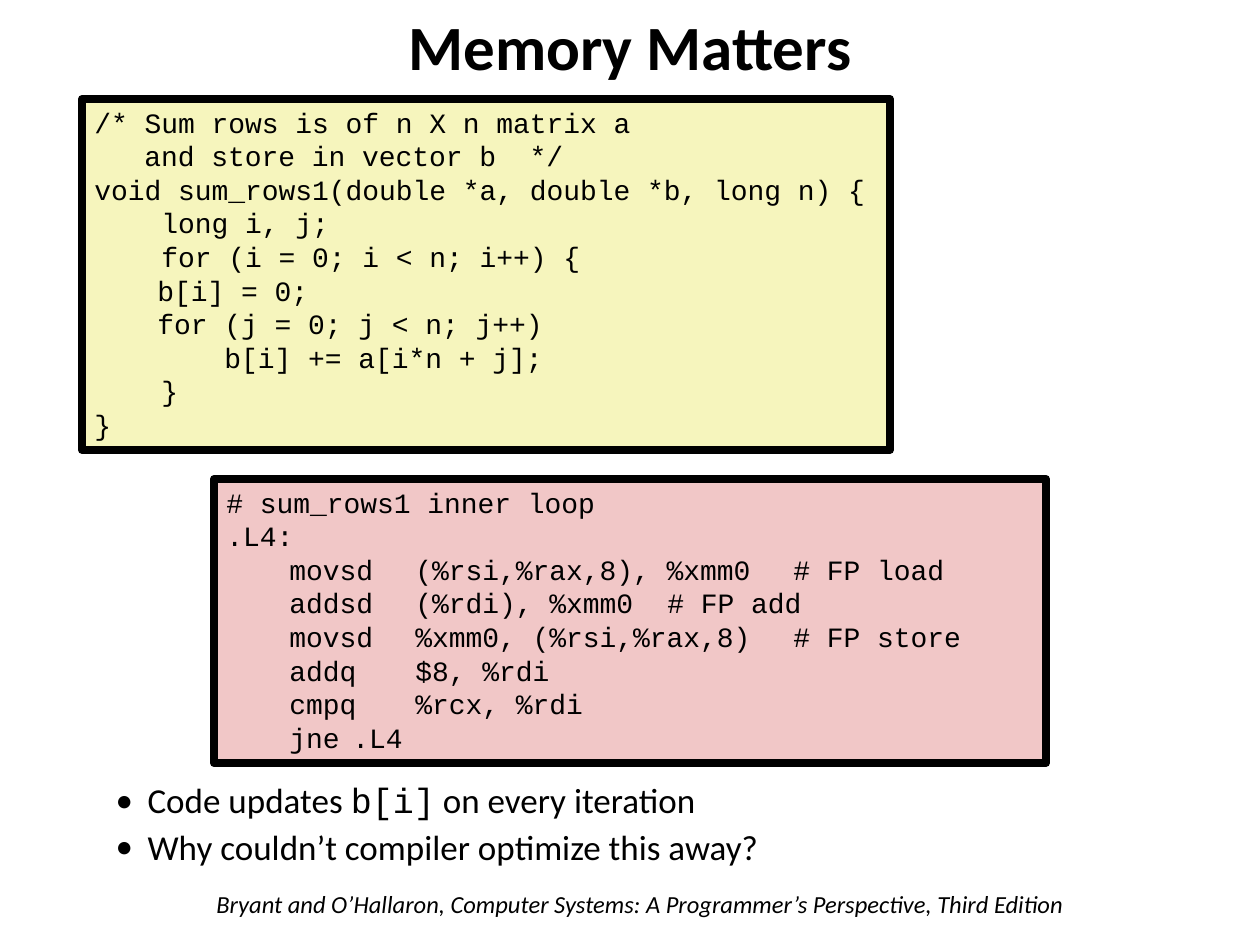
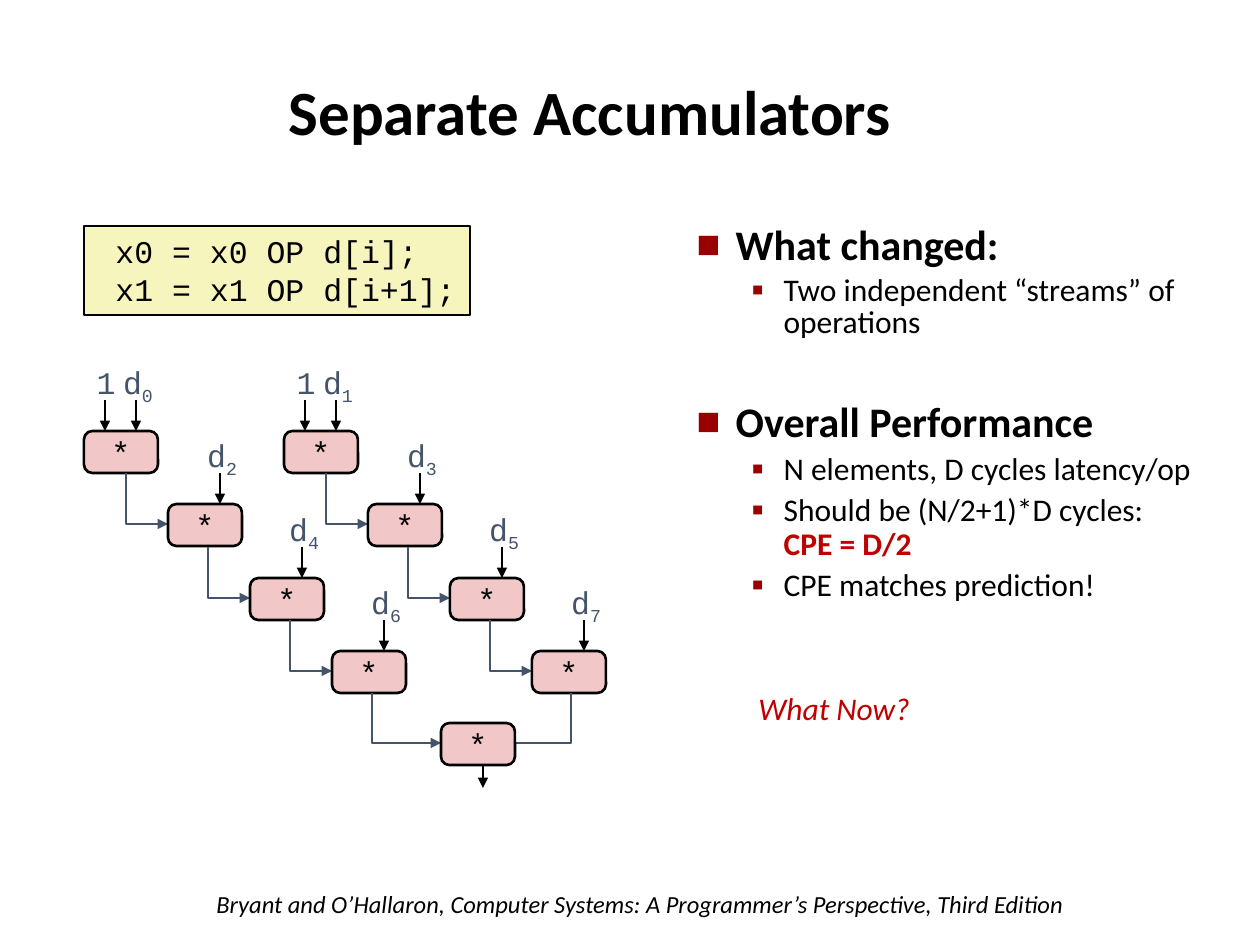
from lxml import etree
from pptx import Presentation
from pptx.dml.color import RGBColor
from pptx.enum.shapes import MSO_CONNECTOR, MSO_SHAPE
from pptx.enum.text import MSO_ANCHOR, MSO_AUTO_SIZE, PP_ALIGN
from pptx.oxml.ns import qn
from pptx.util import Emu, Pt

RECT, ROUND = MSO_SHAPE.RECTANGLE, MSO_SHAPE.ROUNDED_RECTANGLE
STRAIGHT = MSO_CONNECTOR.STRAIGHT
LEFT, CENTER = PP_ALIGN.LEFT, PP_ALIGN.CENTER
TOP, MIDDLE = MSO_ANCHOR.TOP, MSO_ANCHOR.MIDDLE
FIXED = MSO_AUTO_SIZE.NONE

BLACK = RGBColor(0x00, 0x00, 0x00)
YELLOW = RGBColor(0xF6, 0xF5, 0xBD)
PINK = RGBColor(0xF1, 0xC7, 0xC7)
SLATE = RGBColor(0x44, 0x54, 0x6A)
RED = RGBColor(0xC0, 0x00, 0x00)
SANS, MONO = "Calibri", "Courier New"

# Shared content
FOOTER = "Bryant and O’Hallaron, Computer Systems: A Programmer’s Perspective, Third Edition"

# Memory Matters: C lines as (indent, text), assembly lines as text
SUM_CODE = [
    (0, "/* Sum rows is of n X n matrix a"),
    (50, "and store in vector b  */"),
    (0, "void sum_rows1(double *a, double *b, long n) {"),
    (67, "long i, j;"),
    (67, "for (i = 0; i < n; i++) {"),
    (63, "b[i] = 0;"),
    (63, "for (j = 0; j < n; j++)"),
    (130, "b[i] += a[i*n + j];"),
    (67, "}"),
    (0, "}"),
]
LOOP_CODE = [
    "# sum_rows1 inner loop",
    ".L4:",
    "\tmovsd\t(%rsi,%rax,8), %xmm0\t# FP load",
    "\taddsd\t(%rdi), %xmm0\t# FP add",
    "\tmovsd\t%xmm0, (%rsi,%rax,8)\t# FP store",
    "\taddq\t$8, %rdi",
    "\tcmpq\t%rcx, %rdi",
    "\tjne\t.L4",
]
LOOP_TABS = [134, 268, 630]
NOTES = [
    [("Code updates ", SANS), ("b[i]", MONO), (" on every iteration", SANS)],
    [("Why couldn’t compiler optimize this away?", SANS)],
]

# Separate Accumulators: points as (level, line spacing, space before, runs)
PAIR_CODE = ["x0 = x0 OP d[i];", "x1 = x1 OP d[i+1];"]
POINTS = [
    (0, 0.85, 5, ["What changed:"]),
    (1, 0.85, 4, ["Two independent “streams” of operations"]),
    (0, 0.85, 36, ["Overall Performance"]),
    (1, 0.9, 4, ["N elements, D cycles latency/op"]),
    (1, 0.9, 4, ["Should be (N/2+1)*D cycles:", "CPE = D/2"]),
    (1, 0.9, 4, ["CPE matches prediction!"]),
]
# Level: left edge, hanging indent, bullet, bullet size in %, text size
LEVELS = [(39, 39, "■", 60, 24), (87, 32, "▪", 110, 18)]
STEPS = [(84, 431), (168, 504), (250, 578), (332, 651)]
LANE = 200
NODE_W, NODE_H = 74, 42
LAST = (441, 723)


def px(n):
    return Emu(round(n * 914400 / 126))


def add_run(para, text, size, font=SANS, color=BLACK, bold=False, slant=False):
    run = para.add_run()
    run.text = text
    face = run.font
    face.name, face.size, face.bold, face.italic = font, Pt(size), bold, slant
    face.color.rgb = color
    return run


def next_para(frame, first):
    return frame.paragraphs[0] if first else frame.add_paragraph()


def indent(para, left, hang=0):
    props = para._p.get_or_add_pPr()
    props.set("marL", str(px(left)))
    props.set("indent", str(-px(hang)))
    return props


def bullet(para, left, hang, char, size=100, color=None):
    props = indent(para, left, hang)
    if color:
        tint = etree.SubElement(props, qn("a:buClr"))
        etree.SubElement(tint, qn("a:srgbClr"), val=color)
    etree.SubElement(props, qn("a:buSzPct"), val=str(size * 1000))
    etree.SubElement(props, qn("a:buFont"), typeface=SANS)
    etree.SubElement(props, qn("a:buChar"), char=char)


def set_tabs(para, stops):
    tabs = etree.SubElement(para._p.get_or_add_pPr(), qn("a:tabLst"))
    for stop in stops:
        etree.SubElement(tabs, qn("a:tab"), pos=str(px(stop)), algn="l")


def place(shape, x, y, w, h):
    shape.left, shape.top, shape.width, shape.height = map(px, (x, y, w, h))


def add_text(slide, box, text, size, **style):
    shape = slide.shapes.add_textbox(*map(px, box))
    shape.text_frame.word_wrap = False
    add_run(shape.text_frame.paragraphs[0], text, size, **style)
    return shape


def add_box(slide, kind, box, fill, width):
    shape = slide.shapes.add_shape(kind, *map(px, box))
    shape.shadow.inherit = False
    shape.fill.solid()
    shape.fill.fore_color.rgb = fill
    shape.line.color.rgb = BLACK
    shape.line.width = Pt(width)
    return shape


def add_code(slide, box, fill, width, size, lines, stops=()):
    frame = add_box(slide, RECT, box, fill, width).text_frame
    frame.word_wrap, frame.vertical_anchor = True, TOP
    frame.margin_right = 0
    for i, (left, text) in enumerate(lines):
        para = next_para(frame, i == 0)
        para.alignment = LEFT
        indent(para, left)
        if stops:
            set_tabs(para, stops)
        add_run(para, text, size, MONO)


def arrow_tip(shape):
    etree.SubElement(shape.line._get_or_add_ln(), qn("a:tailEnd"), type="triangle")


def add_arrow(slide, x, top, end):
    line = slide.shapes.add_connector(STRAIGHT, px(x), px(top), px(x), px(end))
    line.line.color.rgb = BLACK
    line.line.width = Pt(1.5)
    arrow_tip(line)
    etree.SubElement(line._element.spPr, qn("a:effectLst"))


def add_elbow(slide, x, top, end_x, end_y, tip=True):
    draw = slide.shapes.build_freeform(px(x), px(top))
    draw.add_line_segments([(px(x), px(end_y)), (px(end_x), px(end_y))], close=False)
    shape = draw.convert_to_shape()
    shape.shadow.inherit = False
    shape.fill.background()
    shape.line.color.rgb = SLATE
    shape.line.width = Pt(1.5)
    if tip:
        arrow_tip(shape)


def add_node(slide, x, y):
    shape = add_box(slide, ROUND, (x, y, NODE_W, NODE_H), PINK, 1.5)
    shape.adjustments[0] = 0.2
    frame = shape.text_frame
    frame.word_wrap, frame.vertical_anchor = False, MIDDLE
    para = frame.paragraphs[0]
    para.alignment = CENTER
    add_run(para, "*", 18, MONO)


def add_label(slide, x, y, w, text, index=""):
    shape = add_text(slide, (x, y, w, 50), text, 18, font=MONO, color=SLATE)
    frame = shape.text_frame
    frame.margin_left = frame.margin_right = px(6)
    para = frame.paragraphs[0]
    para.alignment = CENTER
    if index:
        sub = add_run(para, index, 18, MONO, SLATE)
        sub.font._element.set("baseline", "-25000")


def add_slide(prs, title, title_box, body_box):
    slide = prs.slides.add_slide(prs.slide_layouts[1])
    head, body = slide.shapes.title, slide.placeholders[1]
    place(head, *title_box)
    place(body, *body_box)
    for part in (head, body):
        part.text_frame.auto_size = FIXED
        part.text_frame.word_wrap = True
    head.text_frame.vertical_anchor = MIDDLE
    para = head.text_frame.paragraphs[0]
    para.alignment, para.line_spacing = CENTER, 0.9
    add_run(para, title, 36, bold=True)
    return slide, body.text_frame


def add_footer(prs, slide):
    # The footer belongs to the master, so every slide shows it
    foot = add_text(slide, (204, 883, 895, 43), FOOTER, 14, slant=True)
    prs.slide_master.shapes.element.append(foot.element)


def memory_slide(prs):
    slide, frame = add_slide(prs, "Memory Matters", (0, 0, 1260, 100), (40, 777, 1145, 111))
    for i, runs in enumerate(NOTES):
        para = next_para(frame, i == 0)
        para.level, para.line_spacing, para.space_before = 1, 0.9, Pt(5)
        bullet(para, 95, 32, "•")
        for text, font in runs:
            add_run(para, text, 20, font)
    loop = [(0, text) for text in LOOP_CODE]
    add_code(slide, (214, 479, 832, 284), PINK, 4.5, 16, loop, LOOP_TABS)
    add_code(slide, (82, 99, 808, 351), YELLOW, 4.5, 16, SUM_CODE)
    return slide


def draw_lane(slide, lane):
    for k, (x, y) in enumerate(STEPS):
        x += lane * LANE
        if k == 0:
            add_arrow(slide, x + 21, y - 31, y)
            add_label(slide, x + 6, y - 74, 32, "1")
        else:
            add_elbow(slide, x - 42, y - 31, x, y + 20)
        add_node(slide, x, y)
        add_arrow(slide, x + 52, y - 31, y)
        add_label(slide, x + 32, y - 74, 44, "d", str(2 * k + lane))


def streams_slide(prs):
    slide, frame = add_slide(prs, "Separate Accumulators", (67, 63, 1046, 105), (684, 220, 544, 431))
    for i, (level, spacing, before, runs) in enumerate(POINTS):
        left, hang, char, scale, size = LEVELS[level]
        para = next_para(frame, i == 0)
        para.level, para.line_spacing, para.space_before = level, spacing, Pt(before)
        bullet(para, left, hang, char, scale, "990000")
        add_run(para, runs[0], size, bold=level == 0)
        for text in runs[1:]:
            para.add_line_break()
            add_run(para, text, size, color=RED, bold=True)
    add_code(slide, (84, 226, 386, 89), YELLOW, 1, 18, [(19, text) for text in PAIR_CODE])
    # Two lanes of products that meet in the last node
    for lane in range(2):
        draw_lane(slide, lane)
    x, y = LAST
    foot = STEPS[-1][1] + NODE_H
    add_elbow(slide, 372, foot, x, y + 20)
    add_elbow(slide, 571, foot, x + NODE_W, y + 20, tip=False)
    add_node(slide, x, y)
    add_arrow(slide, x + 42, y + NODE_H, 788)
    add_text(slide, (746, 683, 234, 63), "What Now?", 18, color=RED, slant=True)


def main():
    prs = Presentation()
    prs.slide_width, prs.slide_height = px(1260), px(945)
    add_footer(prs, memory_slide(prs))
    streams_slide(prs)
    prs.save("out.pptx")


if __name__ == "__main__":
    main()
